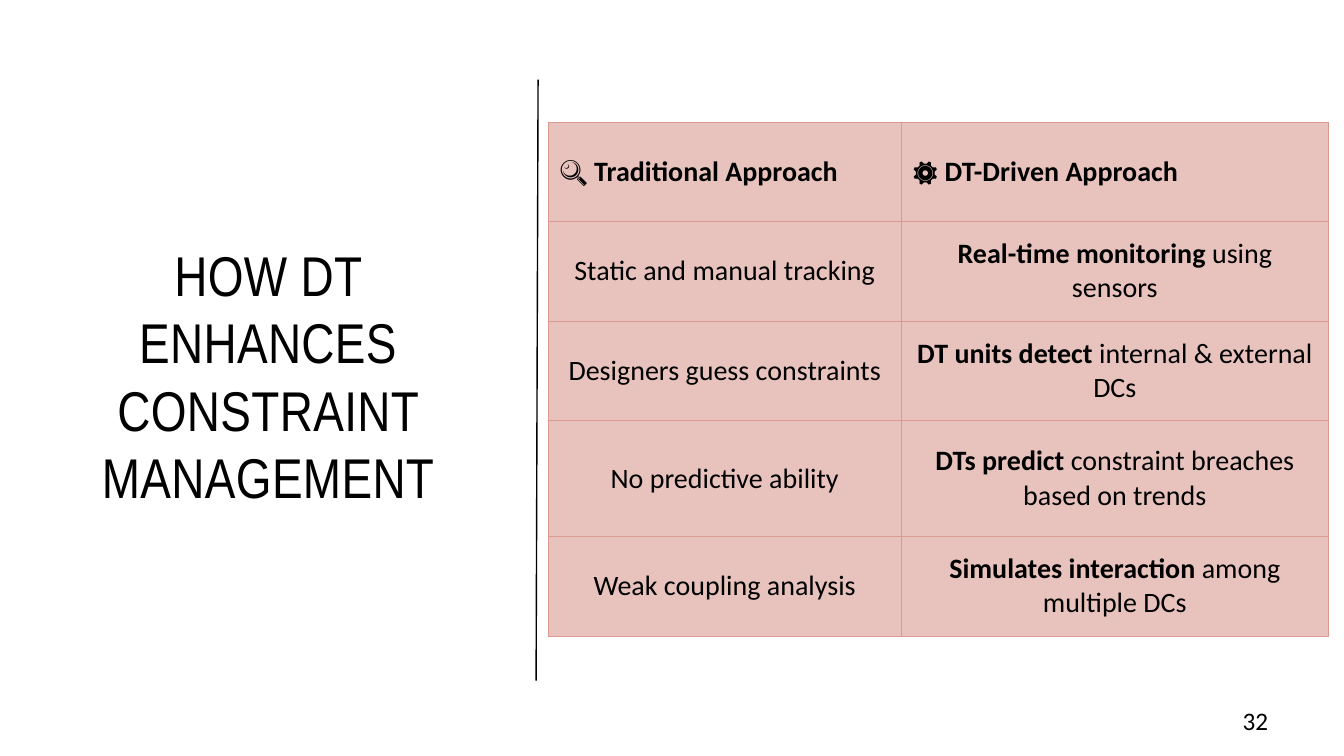
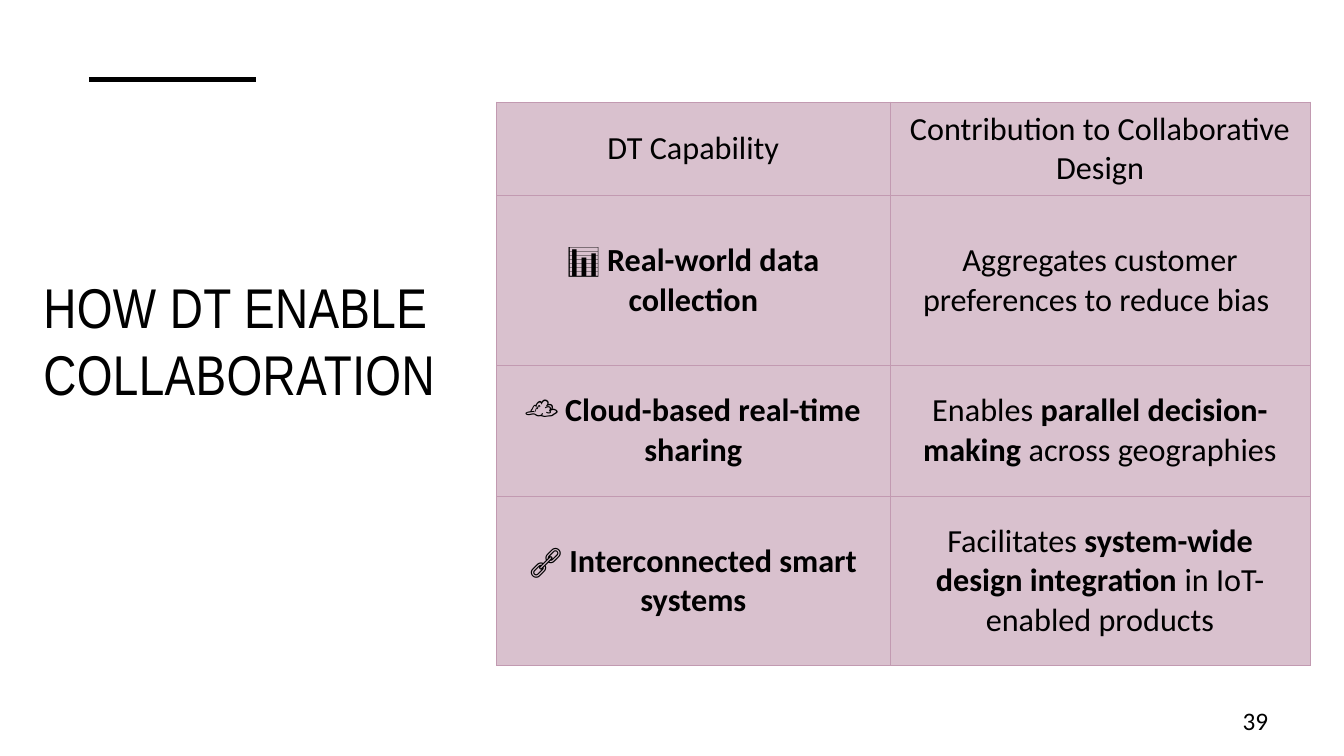
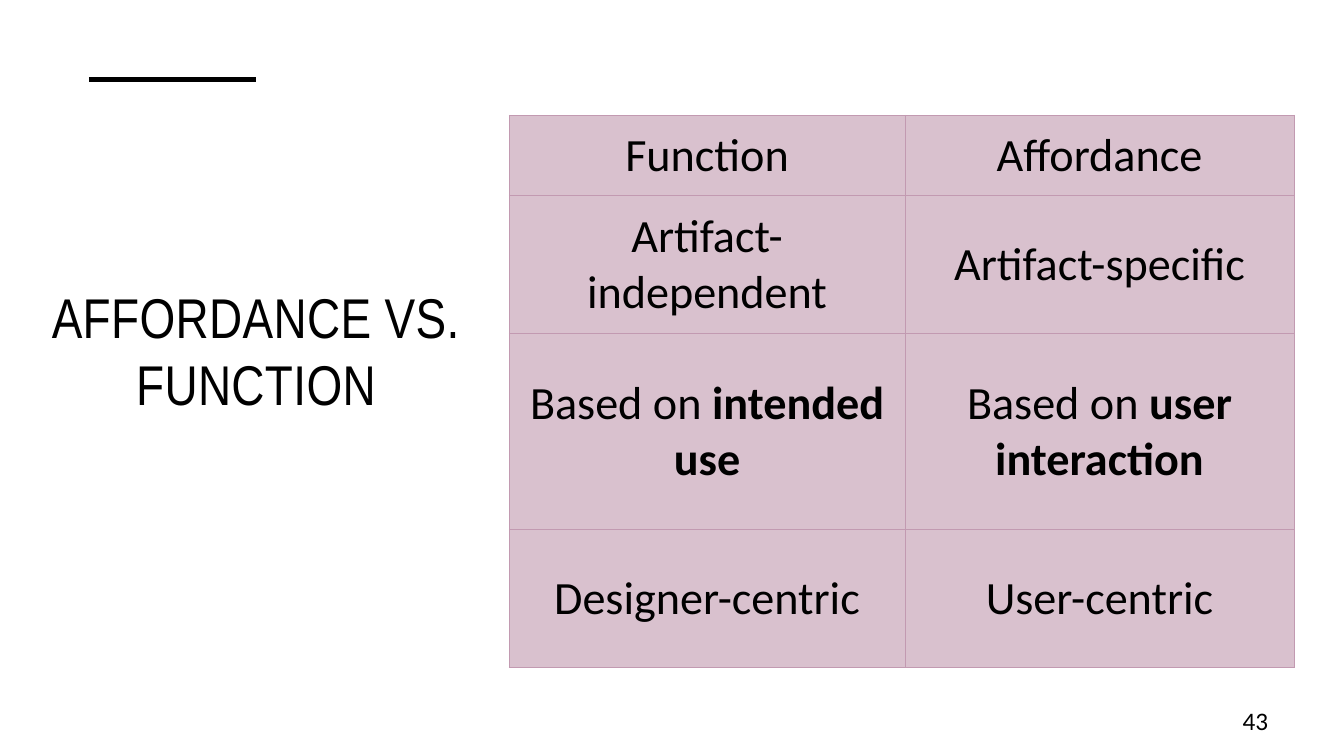
from dataclasses import dataclass

from lxml.etree import SubElement
from pptx import Presentation
from pptx.dml.color import RGBColor
from pptx.enum.text import MSO_ANCHOR, MSO_AUTO_SIZE, PP_ALIGN
from pptx.oxml.ns import qn
from pptx.util import Cm, Pt


@dataclass(frozen=True)
class Theme:
    ink: str = "000000"
    rose: tuple = ("E8C3BD", "DB9A8F")  # cell fill, border
    mauve: tuple = ("D9C1CE", "C29AB1")
    title_font: str = "Arial Narrow"
    body_font: str = "Calibri"
    title_size: int = 40
    number_size: int = 18
    border: float = 0.5


def set_attrs(target, values):
    for name, value in values.items():
        setattr(target, name, value)


class Deck:
    def __init__(self, theme):
        self.theme = theme
        self.prs = Presentation()
        set_attrs(self.prs, {"slide_width": Cm(33.87), "slide_height": Cm(19.05)})
        self.s = None

    def new_slide(self, number):
        self.s = self.prs.slides.add_slide(self.prs.slide_layouts[5])
        self.page_number(number)

    def fill_text(self, p, text, size, font, align):
        """Fill a paragraph; parts between ** marks are bold."""
        p.alignment = align
        for i, part in enumerate(text.split("**")):
            if part:
                r = p.add_run()
                r.text = part
                set_attrs(r.font, {"name": font, "size": Pt(size), "bold": i % 2 == 1})
                r.font.color.rgb = RGBColor.from_string(self.theme.ink)

    def title(self, text, box, align=PP_ALIGN.CENTER):
        sp = self.s.shapes.title
        set_attrs(sp, dict(zip(("left", "top", "width", "height"), map(Cm, box))))
        tf = sp.text_frame
        set_attrs(tf, {"word_wrap": True, "auto_size": MSO_AUTO_SIZE.NONE,
                       "vertical_anchor": MSO_ANCHOR.TOP})
        p = tf.paragraphs[0]
        self.fill_text(p, text, self.theme.title_size, self.theme.title_font, align)
        for r in p.runs:
            r.font._element.set("spc", "30")

    def page_number(self, number):
        box = map(Cm, (30.33, 17.65, 1.88, 1.02))
        tf = self.s.shapes.add_textbox(*box).text_frame
        set_attrs(tf, {"word_wrap": True, "vertical_anchor": MSO_ANCHOR.MIDDLE})
        self.fill_text(tf.paragraphs[0], str(number), self.theme.number_size,
                       self.theme.body_font, PP_ALIGN.RIGHT)

    def line(self, start, end, width):
        cx = self.s.shapes.add_connector(1, *map(Cm, start + end))
        cx.line.width = Pt(width)
        cx.line.color.rgb = RGBColor.from_string(self.theme.ink)
        SubElement(cx._element.spPr, qn("a:effectLst"))

    def accent_rule(self):
        self.line((2.24, 2.01), (6.45, 2.01), 3.5)

    def borders(self, cell, color):
        tc_pr = cell._tc.get_or_add_tcPr()
        for side in "LRTB":
            ln = SubElement(tc_pr, qn(f"a:ln{side}"), w=str(Pt(self.theme.border)))
            fill = SubElement(ln, qn("a:solidFill"))
            SubElement(fill, qn("a:srgbClr"), val=color)

    def table(self, at, cols, rows, texts, size, inset, colors,
              head_align=PP_ALIGN.CENTER):
        frame = self.s.shapes.add_table(len(rows), len(cols), *map(
            Cm, (*at, sum(cols), sum(rows))))
        table = frame.table
        set_attrs(table, {"first_row": False, "horz_banding": False})
        for col, width in zip(table.columns, cols):
            col.width = Cm(width)
        for row, height in zip(table.rows, rows):
            row.height = Cm(height)
        fill, border = colors
        side, end = map(Cm, (inset, inset / 2))
        for i, row_texts in enumerate(texts):
            for j, text in enumerate(row_texts):
                cell = table.cell(i, j)
                set_attrs(cell, {"vertical_anchor": MSO_ANCHOR.MIDDLE,
                                 "margin_left": side, "margin_right": side,
                                 "margin_top": end, "margin_bottom": end})
                self.borders(cell, border)
                cell.fill.solid()
                cell.fill.fore_color.rgb = RGBColor.from_string(fill)
                self.fill_text(cell.text_frame.paragraphs[0], text, size,
                               self.theme.body_font,
                               PP_ALIGN.CENTER if i else head_align)


def main():
    theme = Theme()
    deck = Deck(theme)

    # Constraint management
    deck.new_slide(32)
    deck.title("HOW DT ENHANCES CONSTRAINT MANAGEMENT", (1.73, 5.94, 10.06, 7.14))
    deck.line((13.51, 17.15), (13.56, 2.01), 1)
    deck.table(
        (13.82, 3.07), (8.89, 10.77), (2.51, 2.51, 2.51, 2.92, 2.51),
        [("🔍 **Traditional Approach**", "⚙️ **DT-Driven Approach**"),
         ("Static and manual tracking", "**Real-time monitoring** using sensors"),
         ("Designers guess constraints",
          "**DT units detect** internal & external DCs"),
         ("No predictive ability",
          "**DTs predict** constraint breaches based on trends"),
         ("Weak coupling analysis",
          "**Simulates interaction** among multiple DCs")],
        size=20, inset=0.28, colors=theme.rose, head_align=PP_ALIGN.JUSTIFY)

    # Collaboration
    deck.new_slide(39)
    deck.title("HOW DT ENABLE COLLABORATION", (0.84, 6.73, 10.87, 4.37),
               PP_ALIGN.LEFT)
    deck.accent_rule()
    deck.table(
        (12.52, 2.57), (9.91, 10.59), (2.36, 4.27, 3.3, 4.27),
        [("DT Capability", "Contribution to Collaborative Design"),
         ("📊 **Real-world data collection**",
          "Aggregates customer preferences to reduce bias "),
         ("☁️ **Cloud-based real-time sharing**",
          "Enables **parallel decision-making** across geographies"),
         ("🔗 **Interconnected smart systems**",
          "Facilitates **system-wide design integration** in IoT-enabled products")],
        size=23, inset=0.3, colors=theme.mauve)

    # Affordance and function
    deck.new_slide(43)
    deck.title("AFFORDANCE VS. FUNCTION", (1.02, 6.99, 10.87, 4.34))
    deck.accent_rule()
    deck.table(
        (12.83, 2.9), (9.98, 9.8), (2.03, 3.48, 4.93, 3.48),
        [("Function", "Affordance"),
         ("Artifact-independent", "Artifact-specific"),
         ("Based on **intended use**", "Based on **user interaction**"),
         ("Designer-centric", "User-centric")],
        size=33, inset=0.46, colors=theme.mauve)

    deck.prs.save("out.pptx")


if __name__ == "__main__":
    main()
